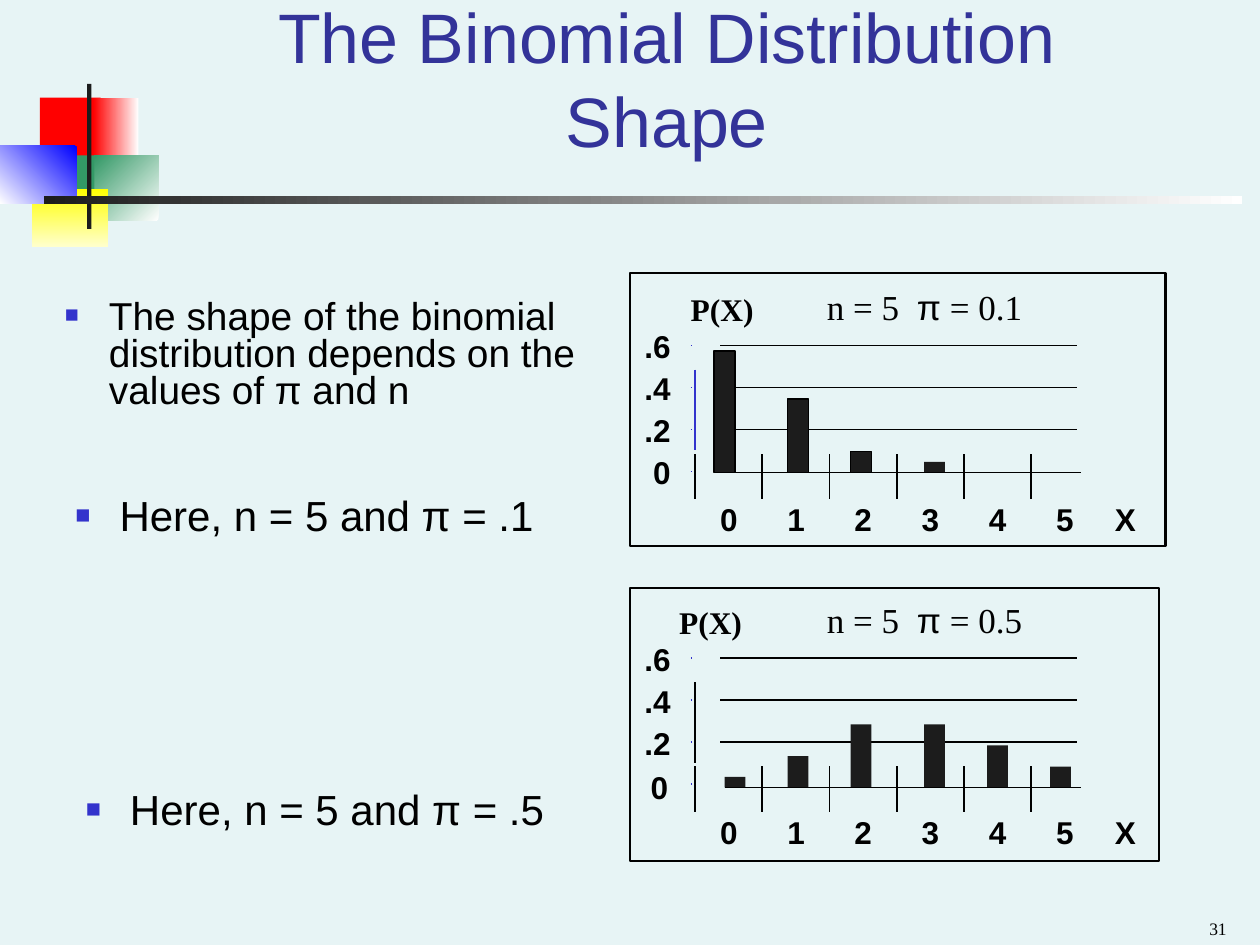
from lxml.etree import SubElement as Sub
from pptx import Presentation
from pptx.dml.color import RGBColor as RGB
from pptx.enum.shapes import MSO_CONNECTOR as Conn, MSO_SHAPE as Kind
from pptx.enum.text import MSO_ANCHOR as Anchor, MSO_AUTO_SIZE as Fit, PP_ALIGN as Align
from pptx.oxml.ns import qn
from pptx.util import Inches, Pt

COLS, ROWS = 120, 90
SANS, SERIF = "Arial", "Times New Roman"
BLACK, DARK, WHITE = RGB(0, 0, 0), RGB(0x1C, 0x1C, 0x1C), RGB(255, 255, 255)
PALE, NAVY, BLUE = RGB(0xE7, 0xF4, 0xF5), RGB(0x33, 0x33, 0x99), RGB(0x33, 0x33, 0xCC)
RED, GREEN, PURE = RGB(255, 0, 0), RGB(0x33, 0x99, 0x66), RGB(0, 0, 255)
YELLOW, CREAM = RGB(255, 255, 0), RGB(255, 255, 0xCC)

deck = Presentation()
deck.slide_width, deck.slide_height = Inches(10), Inches(7.5)
CELL = deck.slide_width / COLS
slide = deck.slides.add_slide(deck.slide_layouts[5])
shapes = slide.shapes


def cells(*nums):
    return [round(n * CELL) for n in nums]


def block(box, fill=None, line=None, width=1):
    item = shapes.add_shape(Kind.RECTANGLE, *cells(*box))
    item.shadow.inherit = False
    if fill is None:
        item.fill.background()
    else:
        item.fill.solid()
        item.fill.fore_color.rgb = fill
    if line is None:
        item.line.fill.background()
    else:
        item.line.color.rgb = line
        item.line.width = Pt(width)
    return item


def blend(box, first, last, angle):
    fill = block(box).fill
    fill.gradient()
    fill.gradient_angle = 360 - angle
    for stop, color in zip(fill.gradient_stops, (first, last)):
        stop.color.rgb = color


def rule(x1, y1, x2, y2, color=BLACK):
    item = shapes.add_connector(Conn.STRAIGHT, *cells(x1, y1, x2, y2))
    item.line.color.rgb = color
    item.line.width = Pt(1)
    Sub(item._element.spPr, qn("a:effectLst"))


def style(run, size, face, color=BLACK, bold=False):
    run.font.size, run.font.name = Pt(size), face
    run.font.color.rgb, run.font.bold = color, bold


def text(box, words, size, face=SANS, bold=False, wrap=True, align=None):
    item = shapes.add_textbox(*cells(*box))
    frame = item.text_frame
    frame.word_wrap = wrap
    para = frame.paragraphs[0]
    para.text = words
    para.alignment = align
    style(para.runs[0], size, face, bold=bold)
    return frame


def label(x, y, w, words, face=SANS):
    frame = text((x, y, w, 4.8), words, 18, face, True, False)
    frame.auto_size = Fit.SHAPE_TO_FIT_TEXT


def emblem(x, y):
    block((x + 3.8, y + 1.3, 5.8, 6.2), RED)
    blend((x + 8.9, y + 1.3, 4.3, 6.2), WHITE, RED, 180)
    blend((x + 9, y + 6.8, 6.1, 6.2), WHITE, GREEN, 225)
    block((x + 5.2, y + 6.8, 3.8, 6.2), GREEN)
    blend((x + 3, y + 10, 7.3, 5.5), YELLOW, CREAM, 90)
    blend((x, y + 5.9, 7.3, 5.5), PURE, WHITE, 135)
    block((x + 8.3, y, 0.4, 13.8), DARK)
    blend((x + 4.2, y + 10.7, 114.1, 0.7), WHITE, DARK, 180)


def heading(box, words):
    title = shapes.title
    title.left, title.top, title.width, title.height = cells(*box)
    frame = title.text_frame
    frame.text = words
    frame.auto_size, frame.vertical_anchor = Fit.NONE, Anchor.BOTTOM
    para = frame.paragraphs[0]
    para.alignment = Align.CENTER
    for run in para.runs:
        style(run, 40, SANS, NAVY)


def caption(box, odds):
    frame = text(box, "n = 5  ", 20, SERIF, align=Align.CENTER)
    frame.auto_size = Fit.SHAPE_TO_FIT_TEXT
    para = frame.paragraphs[0]
    para.space_before = Pt(12.5)
    for words, face in (("π", SANS), (f" = {odds}", SERIF)):
        run = para.add_run()
        run.text = words
        style(run, 20, face)


def plot(box, odds, bars, axis, rise, name, zero):
    x, y, w, h = box
    base, top = y + 19, y - rise
    block(box, line=BLACK, width=1.5)
    caption((x + 10.6, top + 0.6, 34.9, 5.2), odds)
    for row in range(3):
        rule(x + 8.6, top + 6.9 + 4 * row, x + 42.6, top + 6.9 + 4 * row)
    for left, tall, edge in bars:
        block((x + left, base - tall, 2, tall), DARK, edge)
    rule(x + 6.2, top + 9.2, x + 6.2, top + 16.9, axis)
    for row in range(4):
        rule(x + 5.8, top + 6.9 + 4 * row, x + 5.85, top + 6.9 + 4 * row, BLUE)
    rule(x + 9, base, x + 43, base)
    for col in range(6):
        rule(x + 6.2 + 6.4 * col, top + 21.5, x + 6.2 + 6.4 * col, top + 17.2)
        label(x + 7.4 + 6.4 * col, top + 21, 4.1, str(col))
    for row, words in enumerate((".6", ".4", ".2")):
        label(x + 0.2, top + 4.6 + 4 * row, 4.9, words)
    shift, words, wide = zero
    label(x + shift, y + 16.6, wide, words)
    label(x + 45, top + 21, 4.4, "X")
    label(x + name, top + 1, 8.4, "P(X)", SERIF)


def point(box, words, size, lead=None):
    para = text(box, words, size).paragraphs[0]
    para.space_before, para.line_spacing = Pt(6), lead
    props = para._p.get_or_add_pPr()
    props.set("marL", str(Inches(0.35)))
    props.set("indent", str(-Inches(0.35)))
    Sub(Sub(props, qn("a:buClr")), qn("a:srgbClr"), val=str(BLUE))
    Sub(props, qn("a:buSzPct"), val="60000")
    Sub(props, qn("a:buFont"), typeface=SANS)
    Sub(props, qn("a:buChar"), char="■")


def number(box, words):
    frame = text(box, words, 10, SERIF, align=Align.RIGHT)
    frame.vertical_anchor = Anchor.BOTTOM


slide.background.fill.solid()
slide.background.fill.fore_color.rgb = PALE
emblem(0, 8)
heading((15.1, 3, 96.8, 13), "The Binomial Distribution\vShape")
low = [(8, 11.6, BLACK), (15, 7, BLACK), (21, 2, BLACK), (28, 1, None)]
even = [(9, 1, None), (15, 3, None), (21, 6, None),
        (28, 6, None), (34, 4, None), (40, 2, None)]
plot((60, 26, 51, 26), "0.1", low, BLUE, 0, 4.6, (0.2, " 0", 4.9))
plot((60, 56, 50.4, 26), "0.5", even, BLACK, 0.2, 3.5, (0.8, "0", 4.1))
point((5, 28, 51, 15), "The shape of the binomial distribution depends on "
      "the values of π and n", 22.2, 0.8)
point((6, 46, 52, 8), "Here, n = 5 and π = .1", 24)
point((7, 74, 47, 8), "Here, n = 5 and π = .5", 24)
number((90, ROWS - 4.2, 28, 4.2), "31")
deck.save("out.pptx")
